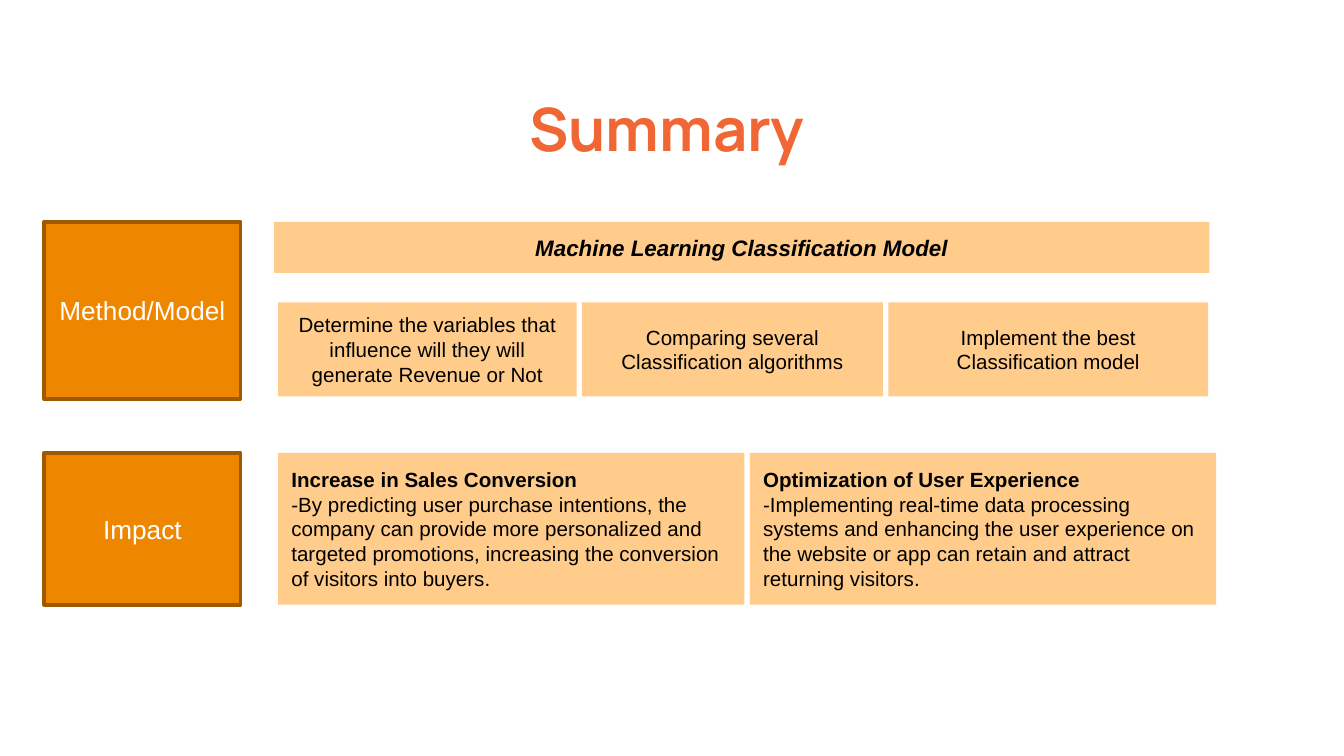
"""Build a summary slide of a project's method and impact."""
import pptx
import pptx.dml.color
import pptx.enum.shapes
import pptx.enum.text
import pptx.util

Inches = pptx.util.Inches
Pt = pptx.util.Pt
RGBColor = pptx.dml.color.RGBColor
PP_ALIGN = pptx.enum.text.PP_ALIGN

ORANGE = RGBColor(0xEF, 0x86, 0x00)
BROWN = RGBColor(0x9F, 0x59, 0x00)
PEACH = RGBColor(0xFF, 0xCC, 0x8B)
CORAL = RGBColor(0xF0, 0x66, 0x34)
BLACK = RGBColor(0x00, 0x00, 0x00)
WHITE = RGBColor(0xFF, 0xFF, 0xFF)

LABEL_LEFT, LABEL_WIDTH = 0.33, 1.46
METHOD_TOP, STEP_TOP, IMPACT_TOP = 1.65, 2.25, 3.37
STEP_HEIGHT, IMPACT_HEIGHT = 0.7, 1.13
CONTENT_LEFT, GAP = 2.07, 0.04
IMPACT_WIDTH = 3.47

STEPS = [
    ("Determine the variables that influence will they will generate Revenue or Not", 2.22),
    ("Comparing several Classification algorithms", 2.24),
    ("Implement the best Classification model", 2.38),
]
IMPACTS = [
    ("Increase in Sales Conversion",
     "-By predicting user purchase intentions, the company can provide more "
     "personalized and targeted promotions, increasing the conversion of visitors into buyers."),
    ("Optimization of User Experience",
     "-Implementing real-time data processing systems and enhancing the user "
     "experience on the website or app can retain and attract returning visitors."),
]


def set_font(p, size, color, bold=False, italic=False, name="Arial"):
    p.font.name = name
    p.font.size = Pt(size)
    p.font.color.rgb = color
    p.font.bold = bold
    p.font.italic = italic


def add_box(s, left, top, width, height, fill):
    sp = s.shapes.add_shape(pptx.enum.shapes.MSO_SHAPE.RECTANGLE,
                            Inches(left), Inches(top), Inches(width), Inches(height))
    sp.shadow.inherit = False
    sp.fill.solid()
    sp.fill.fore_color.rgb = fill
    sp.line.fill.background()
    sp.text_frame.word_wrap = True
    sp.text_frame.vertical_anchor = pptx.enum.text.MSO_ANCHOR.MIDDLE
    return sp


def add_centred_box(s, text, left, top, width, height, size=11,
                    fill=PEACH, color=BLACK, bold=False, italic=False):
    sp = add_box(s, left, top, width, height, fill)
    p = sp.text_frame.paragraphs[0]
    p.text = text
    p.alignment = PP_ALIGN.CENTER
    set_font(p, size, color, bold, italic)
    return sp


def add_label(s, text, top, height):
    sp = add_centred_box(s, text, LABEL_LEFT, top, LABEL_WIDTH, height, 14, ORANGE, WHITE)
    sp.line.color.rgb = BROWN
    sp.line.width = Pt(2)


def add_impact(s, heading, body, left):
    tf = add_box(s, left, IMPACT_TOP, IMPACT_WIDTH, IMPACT_HEIGHT, PEACH).text_frame
    tf.text = f"{heading}\n{body}"
    for p, bold in zip(tf.paragraphs, (True, False)):
        p.alignment = PP_ALIGN.LEFT
        set_font(p, 11, BLACK, bold)


def add_title(s, text):
    tf = s.shapes.add_textbox(Inches(3.84), Inches(0.64), Inches(3.13), Inches(0.69)).text_frame
    tf.word_wrap = True
    tf.auto_size = pptx.enum.text.MSO_AUTO_SIZE.SHAPE_TO_FIT_TEXT
    tf.margin_top = tf.margin_bottom = Inches(0.1)
    p = tf.paragraphs[0]
    p.text = text
    p.line_spacing = 0.9
    set_font(p, 32, CORAL, bold=True, name="Manrope")


def main():
    prs = pptx.Presentation()
    prs.slide_width = Inches(10)
    prs.slide_height = prs.slide_width * 9 // 16
    s = prs.slides.add_slide(prs.slide_layouts[6])

    add_title(s, "Summary")
    add_label(s, "Method/Model", METHOD_TOP, 1.32)
    add_label(s, "Impact", IMPACT_TOP, IMPACT_HEIGHT)
    add_centred_box(s, "Machine Learning Classification Model",
                    2.04, METHOD_TOP, 6.96, 0.38, 12, bold=True, italic=True)

    left = CONTENT_LEFT
    for text, width in STEPS:
        add_centred_box(s, text, left, STEP_TOP, width, STEP_HEIGHT)
        left += width + GAP

    for i, (heading, body) in enumerate(IMPACTS):
        add_impact(s, heading, body, CONTENT_LEFT + i * (IMPACT_WIDTH + GAP))

    prs.save("out.pptx")


if __name__ == "__main__":
    main()
